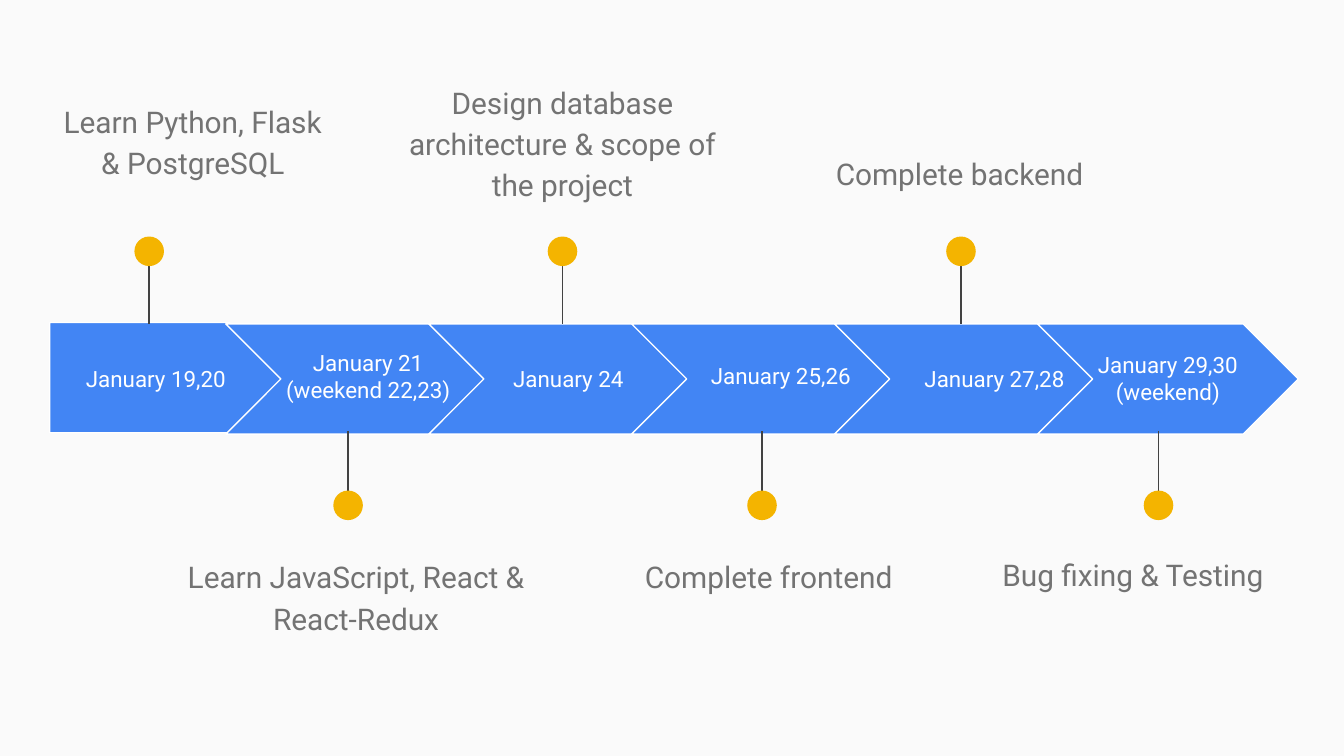
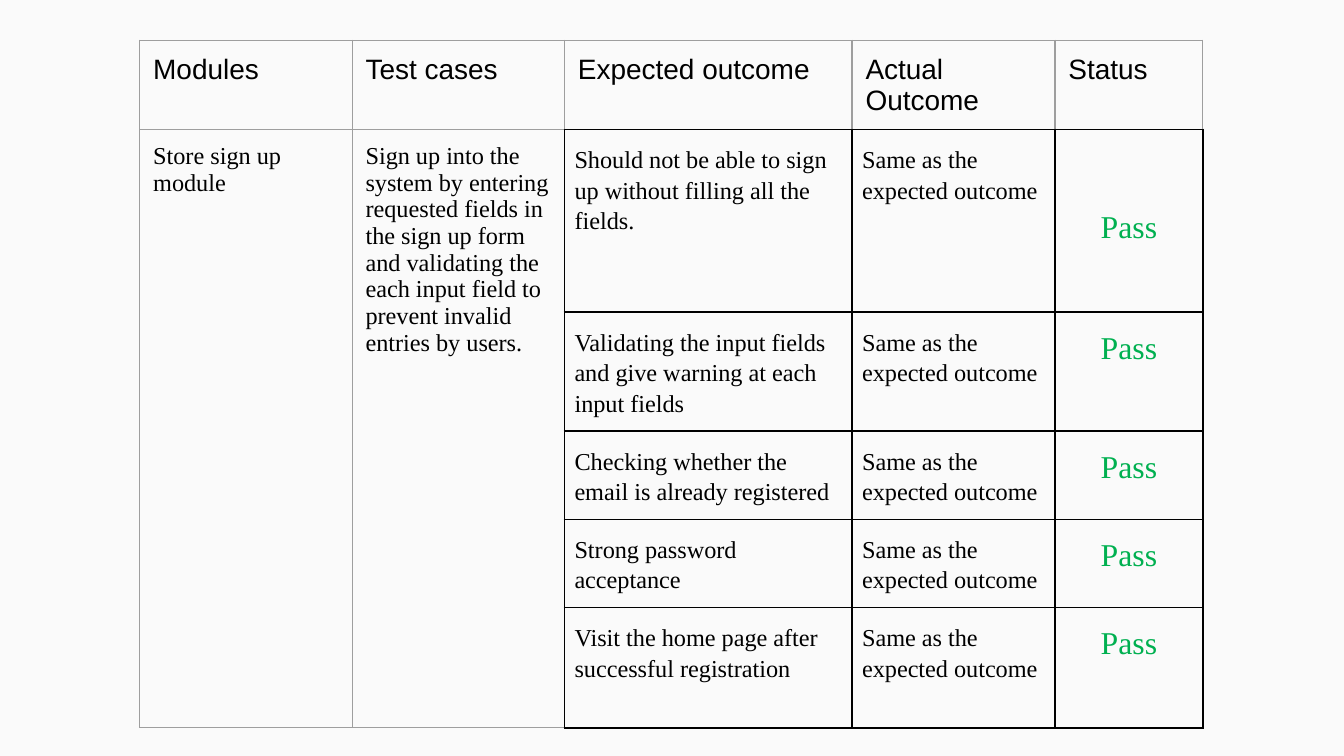
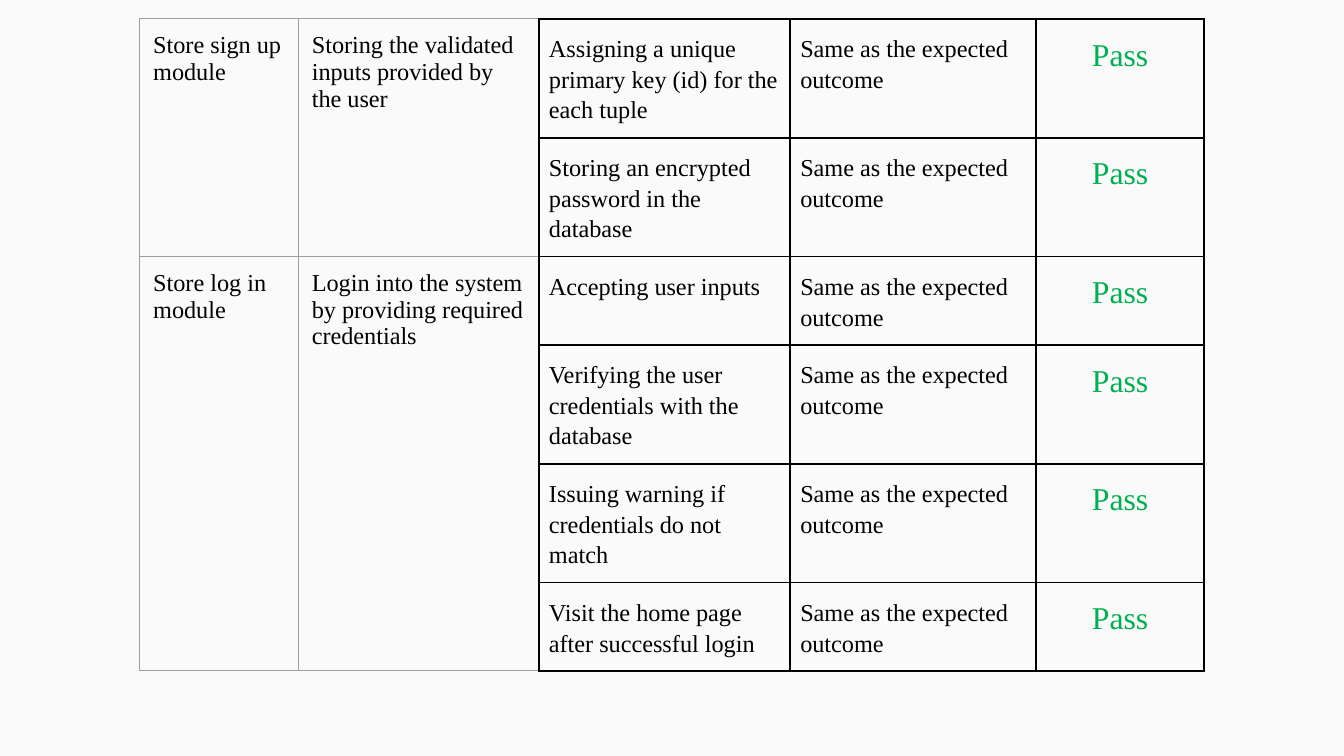
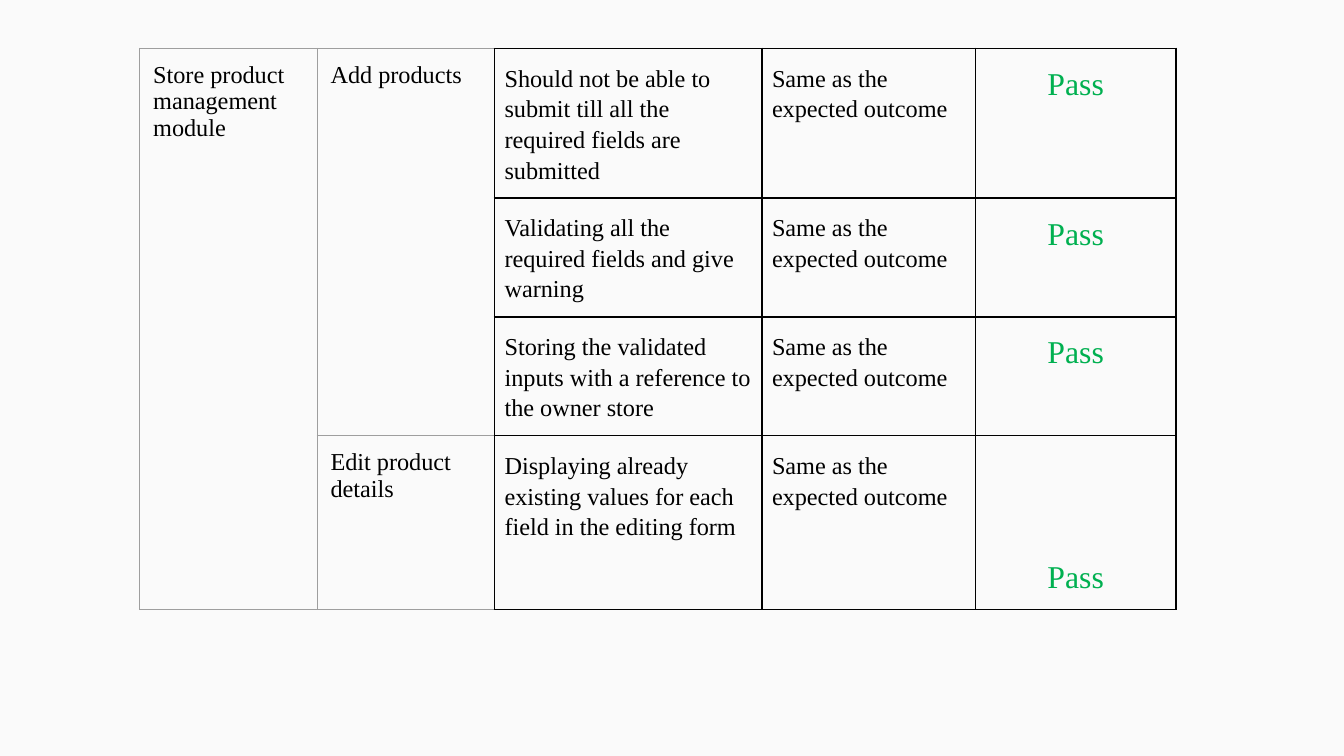
import pptx
import pptx.dml.color
import pptx.enum.shapes
import pptx.enum.text
import pptx.oxml
import pptx.oxml.ns
import pptx.util

SHAPE = pptx.enum.shapes.MSO_SHAPE
ALIGN = pptx.enum.text.PP_ALIGN
ANCHOR = pptx.enum.text.MSO_ANCHOR

# The slide is a grid of 100 columns by 56.25 rows of square units.
COLS, ROWS = 100, 56.25
UNIT = pptx.util.Inches(10) / COLS

PAPER, WHITE, BLACK = "FAFAFA", "FFFFFF", "000000"
BLUE, GOLD, GREEN = "4285F4", "F4B400", "00B050"
SLATE, GREY, RULE = "424242", "737373", "9E9E9E"
SANS, SERIF, HEAD = "Roboto", "Times New Roman", "Arial"

SAME, PASS = "Same as the expected outcome", "Pass"

# Date text, centre of date, centre of pin, note text, note box, centred
STEPS = [
    ("January 19,20", 11.6, 11.1, "Learn Python, Flask & PostgreSQL",
     (3.7, 6.3, 21.3, 11.1), True),
    ("January 21\n(weekend 22,23)", 27.4, 25.9,
     "Learn JavaScript, React & React-Redux", (12.2, 40.2, 28.6, 9.9), True),
    ("January 24", 42.3, 41.85,
     "Design database architecture & scope of the project",
     (28, 4.9, 27.7, 9.9), True),
    ("January 25,26", 58.1, 56.7, "Complete frontend",
     (47, 40.2, 24.5, 9.9), False),
    ("January 27,28", 74, 71.5, "Complete backend",
     (61.2, 10.2, 24.5, 9.9), False),
    ("January 29,30\n(weekend)", 86.9, 86.2, "Bug fixing & Testing",
     (73.6, 40, 25.2, 9.9), False),
]

# Each table row: height, module, test case, expected outcome.
# None continues the cell above.
TITLES = ["Modules", "Test cases", "Expected outcome", "Actual Outcome",
          "Status"]
SIGNUP = [
    (13.6, "Store sign up module",
     "Sign up into the system by entering requested fields in the sign up "
     "form and validating the each input field to prevent invalid entries "
     "by users.",
     "Should not be able to sign up without filling all the fields."),
    (8.85, None, None,
     "Validating the input fields and give warning at each input fields"),
    (6.55, None, None, "Checking whether the email is already registered"),
    (6.55, None, None, "Strong password acceptance"),
    (8.95, None, None, "Visit the home page after successful registration"),
]
LOGIN = [
    (8.85, "Store sign up module",
     "Storing the validated inputs provided by the user",
     "Assigning a unique primary key (id) for the each tuple"),
    (8.85, None, None, "Storing an encrypted password in the database"),
    (6.55, "Store log in module",
     "Login into the system by providing required credentials",
     "Accepting user inputs"),
    (8.85, None, None, "Verifying the user credentials with the database"),
    (8.85, None, None, "Issuing warning if credentials do not match"),
    (6.55, None, None, "Visit the home page after successful login"),
]
GOODS = [
    (11.1, "Store product management module", "Add products",
     "Should not be able to submit till all the required fields are "
     "submitted"),
    (8.85, None, None, "Validating all the required fields and give warning"),
    (8.85, None, None,
     "Storing the validated inputs with a reference to the owner store"),
    (12.9, None, "Edit product details",
     "Displaying already existing values for each field in the editing form"),
]


def grid(*units):
    """Turn grid units into lengths."""
    return [pptx.util.Emu(round(n * UNIT)) for n in units]


def rgb(code):
    return pptx.dml.color.RGBColor.from_string(code)


def write(frame, text, size=13, font=SERIF, color=BLACK, align=ALIGN.LEFT,
          lead=None, before=None, after=None):
    """Fill a text frame, one paragraph for each line of text."""
    frame.word_wrap = True
    for i, line in enumerate(text.split("\n")):
        para = frame.add_paragraph() if i else frame.paragraphs[0]
        para.alignment = align
        if lead:
            para.line_spacing = lead
        if before:
            para.space_before = pptx.util.Pt(before)
        if after:
            para.space_after = pptx.util.Pt(after)
        run = para.add_run()
        run.text = line
        run.font.size = pptx.util.Pt(size)
        run.font.name = font
        run.font.color.rgb = rgb(color)


def label(slide, box, text, anchor=ANCHOR.TOP, **form):
    frame = slide.shapes.add_textbox(*grid(*box)).text_frame
    frame.vertical_anchor = anchor
    (frame.margin_left, frame.margin_top,
     frame.margin_right, frame.margin_bottom) = grid(1, 1, 1, 1)
    write(frame, text, **form)


def solid(shapes, kind, box, fill, line=None):
    shape = shapes.add_shape(kind, *grid(*box))
    shape.shadow.inherit = False
    shape.fill.solid()
    shape.fill.fore_color.rgb = rgb(fill)
    if line:
        shape.line.color.rgb = rgb(line)
        shape.line.width = pptx.util.Pt(0.75)
    else:
        shape.line.fill.background()
    return shape


def pin(slide, x, above):
    """Draw a stem with a dot at its free end, above or below the band."""
    tip, foot, top = (18, 24.1, 17.6) if above else (38.2, 32.1, 36.5)
    group = slide.shapes.add_group_shape().shapes
    stem = group.add_connector(pptx.enum.shapes.MSO_CONNECTOR.STRAIGHT,
                               *grid(x, tip, x, foot))
    stem.line.color.rgb = rgb(SLATE)
    stem.line.width = pptx.util.Pt(0.75)
    pptx.oxml.ns.qn("a:effectLst")
    stem._element.spPr.append(pptx.oxml.parse_xml(
        "<a:effectLst %s/>" % pptx.oxml.ns.nsdecls("a")))
    solid(group, SHAPE.OVAL, (x - 1.1, top, 2.2, 2.2), GOLD)


def plan(slide):
    """Draw the band of dated arrows with its pins and notes."""
    for i, (date, mid, x, note, box, center) in enumerate(STEPS):
        if i:
            kind, place = SHAPE.CHEVRON, (1.7 + 15.1 * i, 24.1, 19.4, 8.2)
        else:
            kind, place = SHAPE.PENTAGON, (3.7, 24, 17.5, 8.2)
        solid(slide.shapes, kind, place, BLUE, WHITE)
        top = 25.4 if i in (1, 3) else 25.6
        label(slide, (mid - 7.2, top, 14.4, 5.1), date, ANCHOR.MIDDLE,
              size=12, font=SANS, color=WHITE, align=ALIGN.CENTER)
        pin(slide, x, above=i % 2 == 0)
        label(slide, box, note, size=16, font=SANS, color=GREY, lead=1.15,
              after=16, align=ALIGN.CENTER if center else ALIGN.LEFT)


def edge(cell, **sides):
    """Set the borders of a cell, each given as a colour."""
    props = cell._tc.get_or_add_tcPr()
    for i, side in enumerate("LRTB"):
        color = sides.get(side, sides["rest"])
        width = pptx.util.Pt(1 if color == BLACK else 0.75)
        props.insert(i, pptx.oxml.parse_xml(
            f'<a:ln{side} {pptx.oxml.ns.nsdecls("a")} w="{width}">'
            f'<a:solidFill><a:srgbClr val="{color}"/></a:solidFill>'
            f'<a:prstDash val="solid"/></a:ln{side}>'))


def put(cell, text, pad=1, top=1, **form):
    (cell.margin_left, cell.margin_top,
     cell.margin_right, cell.margin_bottom) = grid(pad, top, pad, 1)
    if text:
        write(cell.text_frame, text, **form)


def join(table, col, texts):
    """Merge each cell of a column with the empty ones below it."""
    starts = [r for r, text in enumerate(texts) if text]
    for start, stop in zip(starts, starts[1:] + [len(texts)]):
        if stop - start > 1:
            table.cell(start, col).merge(table.cell(stop - 1, col))


def tests(slide, top, widths, rows, titles=None, drops=None):
    """Draw a table of test cases; drops gives lower tops for Pass by row."""
    drops = drops or {}
    head = 1 if titles else 0
    heights = [6.6] * head + [row[0] for row in rows]
    table = slide.shapes.add_table(
        len(heights), len(widths),
        *grid(10.4, top, sum(widths), sum(heights))).table
    table.first_row = table.horz_banding = False
    for col, width in zip(table.columns, grid(*widths)):
        col.width = width
    for row, height in zip(table.rows, grid(*heights)):
        row.height = height
    for cell in table.iter_cells():
        cell.fill.background()

    for c, title in enumerate(titles or []):
        cell = table.cell(0, c)
        put(cell, title, size=15, font=HEAD)
        edge(cell, rest=RULE, B=BLACK if c > 1 else RULE)
    for r, (_, module, case, want) in enumerate(rows):
        cells = table.rows[r + head].cells
        put(cells[0], module)
        edge(cells[0], rest=RULE)
        put(cells[1], case)
        edge(cells[1], rest=RULE, R=BLACK)
        body = dict(pad=0.75, lead=1.15, before=12)
        put(cells[2], want, **body)
        put(cells[3], SAME, **body)
        put(cells[4], PASS, top=drops.get(r, 1), size=17, color=GREEN,
            align=ALIGN.CENTER, **body)
        for c in (2, 3, 4):
            edge(cells[c], rest=BLACK)
    for c in (0, 1):
        join(table, c, (titles or [])[c:c + 1] + [row[c + 1] for row in rows])


def main():
    deck = pptx.Presentation()
    deck.slide_width, deck.slide_height = grid(COLS, ROWS)
    paper = deck.slide_master.background.fill
    paper.solid()
    paper.fore_color.rgb = rgb(PAPER)
    blank = deck.slide_layouts[6]
    first, second, third, fourth = [
        deck.slides.add_slide(blank) for _ in range(4)]
    plan(first)
    tests(second, 3, [15.8, 15.8, 21.4, 15.1, 11], SIGNUP, TITLES, {0: 5.6})
    tests(third, 1.4, [11.8, 17.9, 18.7, 18.3, 12.5], LOGIN)
    tests(fourth, 3.6, [13.2, 13.2, 19.9, 15.9, 14.9], GOODS, drops={3: 8.9})
    deck.save("out.pptx")


if __name__ == "__main__":
    main()
